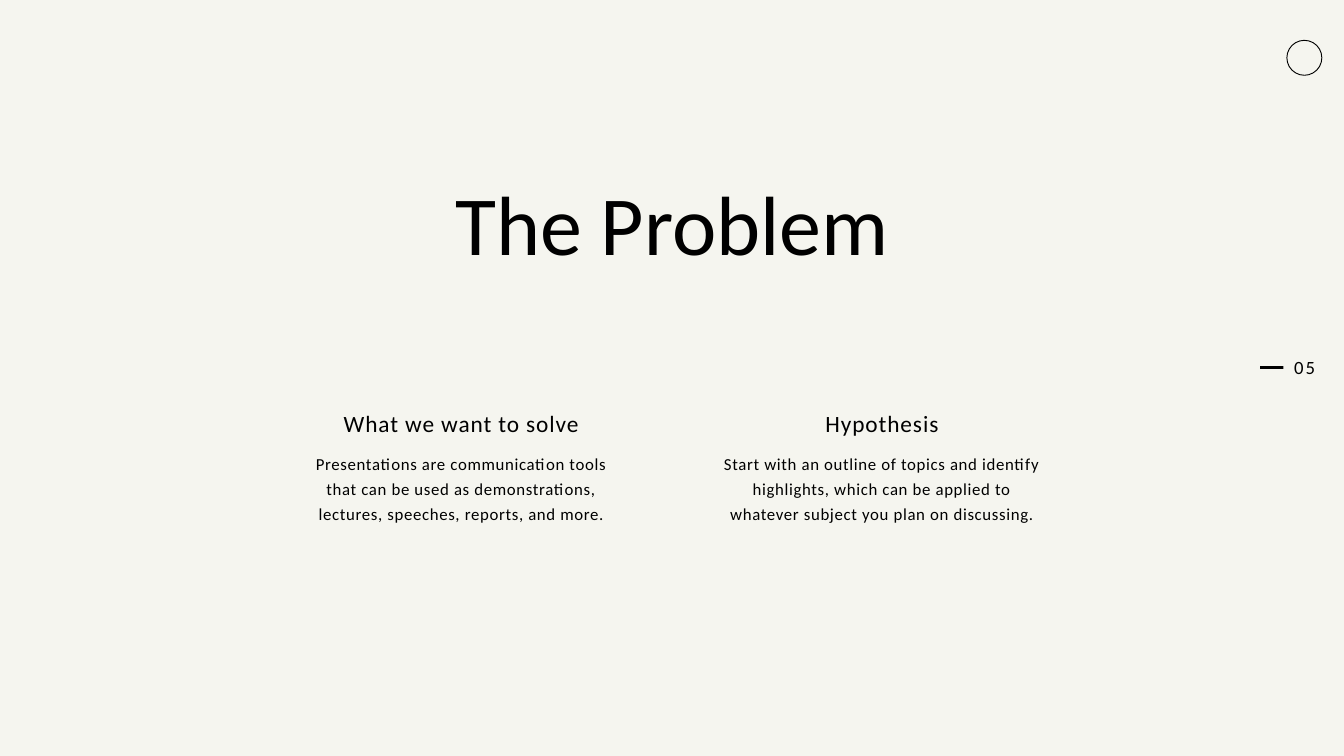
import pptx
import pptx.dml.color
import pptx.enum.shapes
import pptx.enum.text
import pptx.oxml.ns
import pptx.util
import lxml.etree

Inches = pptx.util.Inches
Pt = pptx.util.Pt
Align = pptx.enum.text.PP_ALIGN
Shape = pptx.enum.shapes.MSO_SHAPE

theme = {
    "font": "Calibri",
    "ink": pptx.dml.color.RGBColor.from_string("000000"),
    "paper": pptx.dml.color.RGBColor.from_string("F5F5EF"),
    "title": {"size": 90, "leading": 99, "tracking": 0},
    "heading": {"size": 25, "leading": 32.5, "tracking": 1},
    "body": {"size": 18, "leading": 27, "tracking": 0.7},
    "number": {"size": 20, "leading": 24, "tracking": 2},
}


def write_text(box, place, text, style, alignment=Align.CENTER):
    box.left, box.top, box.width, box.height = [Inches(length) for length in place]
    frame_format = {
        "margin_left": 0, "margin_top": 0, "margin_right": 0, "margin_bottom": 0,
        "word_wrap": True,
        "auto_size": pptx.enum.text.MSO_AUTO_SIZE.NONE,
        "vertical_anchor": pptx.enum.text.MSO_ANCHOR.TOP,
    }
    for name, value in frame_format.items():
        setattr(box.text_frame, name, value)
    para = box.text_frame.paragraphs[0]
    properties = para._p.get_or_add_pPr()
    properties.set("marL", "0")
    properties.set("indent", "0")
    lxml.etree.SubElement(properties, pptx.oxml.ns.qn("a:buNone"))
    para_format = {
        "alignment": alignment,
        "line_spacing": Pt(theme[style]["leading"]),
        "space_before": Pt(0),
    }
    for name, value in para_format.items():
        setattr(para, name, value)
    span = para.add_run()
    span.text = text
    font_format = {"name": theme["font"], "size": Pt(theme[style]["size"]), "bold": False}
    for name, value in font_format.items():
        setattr(span.font, name, value)
    span.font.color.rgb = theme["ink"]
    span._r.get_or_add_rPr().set("spc", str(round(theme[style]["tracking"] * 100)))


deck = pptx.Presentation()
deck.slide_width = Inches(20)
deck.slide_height = Inches(11.25)
comparison_layout = deck.slide_layouts[4]
page = deck.slides.add_slide(comparison_layout)
page.background.fill.solid()
page.background.fill.fore_color.rgb = theme["paper"]

ring = page.shapes.add_shape(
    Shape.OVAL, Inches(19.15), Inches(0.6), Inches(0.52), Inches(0.52))
ring.shadow.inherit = False
ring.fill.background()
ring.line.color.rgb = theme["ink"]
ring.line.width = Pt(1)

number_box = page.shapes.add_textbox(0, 0, 0, 0)
write_text(number_box, (19.07, 5.29, 0.5, 0.34), "05", "number", Align.RIGHT)

dash = page.shapes.add_shape(
    Shape.RECTANGLE, Inches(18.75), Inches(5.45), Inches(0.35), Inches(0.04))
dash.shadow.inherit = False
dash.fill.solid()
dash.fill.fore_color.rgb = theme["ink"]
dash.line.fill.background()

write_text(page.shapes.title, (6.09, 2.68, 7.82, 1.41), "The Problem", "title")

columns = [
    ("What we want to solve",
     "Presentations are communication tools that can be used as demonstrations, "
     "lectures, speeches, reports, and more."),
    ("Hypothesis",
     "Start with an outline of topics and identify highlights, which can be applied to "
     "whatever subject you plan on discussing."),
]
column_left, column_width, column_step = 4.47, 4.79, 6.26
heading_width = 4.3
heading_inset = (column_width - heading_width) / 2

for index, (heading, body) in enumerate(columns):
    left = column_left + index * column_step
    heading_box = page.placeholders[1 + 2 * index]
    body_box = page.placeholders[2 + 2 * index]
    write_text(heading_box, (left + heading_inset, 6.06, heading_width, 0.42), heading, "heading")
    write_text(body_box, (left, 6.67, column_width, 1.46), body, "body")

deck.save("out.pptx")
